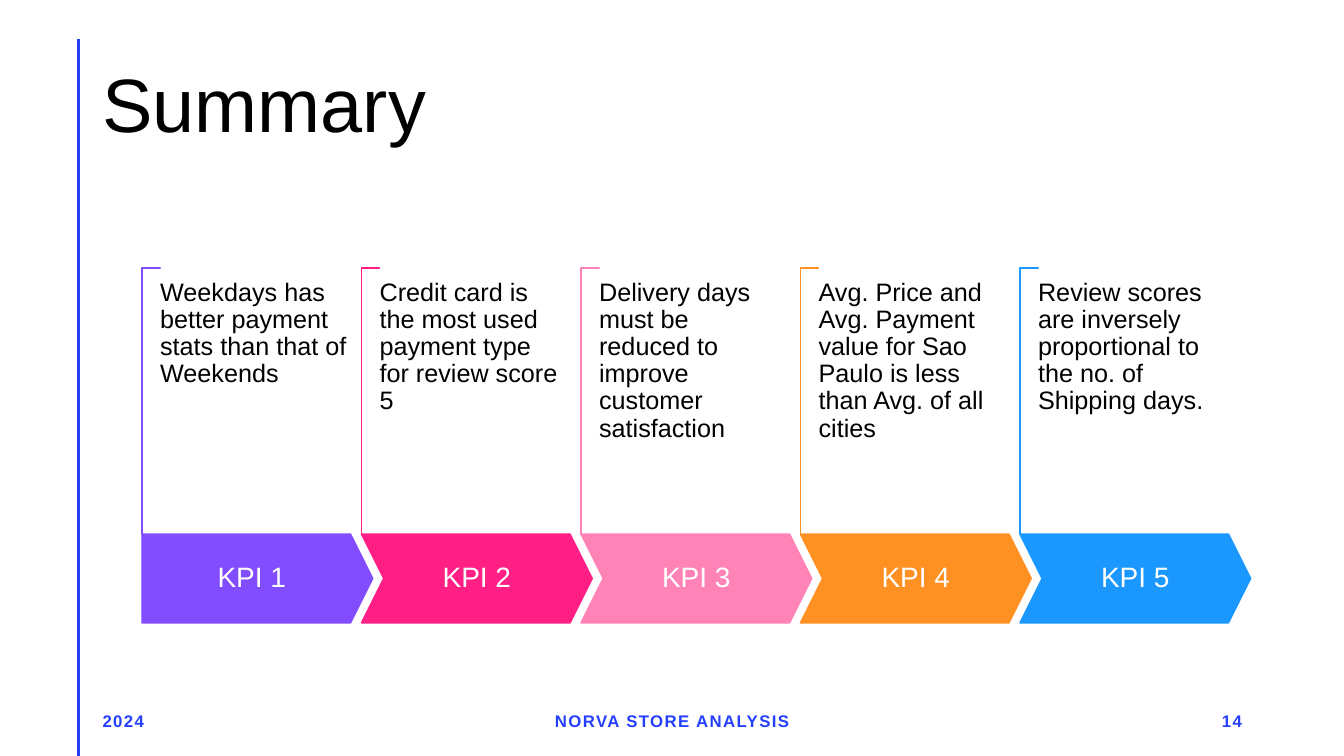
import pptx
import pptx.util
import pptx.dml.color
import pptx.enum.shapes
import pptx.enum.text
import pptx.oxml.ns
import lxml.etree

Pt = pptx.util.Pt
SHAPE = pptx.enum.shapes.MSO_SHAPE
ALIGN = pptx.enum.text.PP_ALIGN
ANCHOR = pptx.enum.text.MSO_ANCHOR
BLUE = "243FFF"

KPIS = [
    ("KPI 1", "814DFF", "Weekdays has better payment stats than that of Weekends"),
    ("KPI 2", "FF1F85", "Credit card is the most used payment type for review score 5"),
    ("KPI 3", "FF83B6", "Delivery days must be reduced to improve customer satisfaction"),
    ("KPI 4", "FF9022", "Avg. Price and Avg. Payment value for Sao Paulo is less than Avg. of all cities"),
    ("KPI 5", "1A98FF", "Review scores are inversely proportional to the no. of Shipping days."),
]


def rgb(value):
    return pptx.dml.color.RGBColor.from_string(value)


def write(shape, text, size, color, align=ALIGN.LEFT, anchor=ANCHOR.MIDDLE,
          inset=(0, 0), spacing=0.9):
    frame = shape.text_frame
    frame.text = text
    frame.word_wrap = True
    frame.vertical_anchor = anchor
    frame.margin_left = frame.margin_right = Pt(inset[0])
    frame.margin_top = frame.margin_bottom = Pt(inset[1])
    paragraph = frame.paragraphs[0]
    paragraph.alignment = align
    paragraph.line_spacing = spacing
    font = paragraph.runs[0].font
    font.name, font.size, font.color.rgb = "Arial", Pt(size), rgb(color)
    return font


def add_text(slide, left, top, width, height, *args, **options):
    box = slide.shapes.add_textbox(Pt(left), Pt(top), Pt(width), Pt(height))
    return write(box, *args, **options)


def add_outlined(slide, preset, left, top, width, height, fill, line):
    shape = slide.shapes.add_shape(preset, Pt(left), Pt(top), Pt(width), Pt(height))
    shape.shadow.inherit = False
    shape.fill.solid()
    shape.fill.fore_color.rgb = rgb(fill)
    shape.line.color.rgb = rgb(line)
    shape.line.width = Pt(1)
    return shape


def add_side_rule(slide, x, top, bottom):
    rule = slide.shapes.add_connector(
        pptx.enum.shapes.MSO_CONNECTOR.STRAIGHT, Pt(x), Pt(top), Pt(x), Pt(bottom))
    rule.line.color.rgb = rgb(BLUE)
    rule.line.width = Pt(2)
    lxml.etree.SubElement(rule._element.spPr, pptx.oxml.ns.qn("a:effectLst"))


def add_kpi(slide, left, top, width, height, first, label, color, finding):
    arrow_height, bracket_width = 63.4, 13
    bracket_height = height - arrow_height

    # Bracket: an L shape turned a quarter, so its box is laid out sideways
    bracket = add_outlined(
        slide, SHAPE.HALF_FRAME,
        left + (bracket_width - bracket_height) / 2,
        top + (bracket_height - bracket_width) / 2,
        bracket_height, bracket_width, "FFFFFF", color)
    bracket.rotation = 90
    bracket.adjustments[0] = bracket.adjustments[1] = 0.01
    # The "corner" preset has no MSO_SHAPE member; it takes the same two adjustments
    bracket._element.spPr.find(pptx.oxml.ns.qn("a:prstGeom")).set("prst", "corner")

    # Arrow with its label
    preset = SHAPE.PENTAGON if first else SHAPE.CHEVRON
    arrow = add_outlined(slide, preset, left, top + bracket_height,
                         width, arrow_height, color, color)
    arrow.adjustments[0] = 0.25
    write(arrow, label, 20, "FFFFFF", ALIGN.CENTER, inset=(10, 20))

    # Finding
    add_text(slide, left + bracket_width, top + 8, 134, 144, finding, 18, "000000",
             anchor=ANCHOR.TOP)


def add_kpi_row(slide, left, top, width, height):
    arrow_width = 164.9
    pitch = (width - arrow_width) / (len(KPIS) - 1)
    for index, kpi in enumerate(KPIS):
        add_kpi(slide, left + index * pitch, top, arrow_width, height, index == 0, *kpi)


def add_footer(slide, left, top, width, height):
    parts = [
        ("2024", ALIGN.LEFT, 216, 0),
        ("NORVA STORE ANALYSIS", ALIGN.CENTER, 324, 0.5),
        ("14", ALIGN.RIGHT, 216, 1),
    ]
    for text, align, part_width, position in parts:
        font = add_text(slide, left + (width - part_width) * position, top,
                        part_width, height, text, 12, BLUE, align,
                        inset=(7.2, 3.6), spacing=1)
        font.bold = True
        font._element.set("spc", "100")


def main():
    deck = pptx.Presentation()
    deck.slide_width, deck.slide_height = Pt(960), Pt(540)
    slide = deck.slides.add_slide(deck.slide_layouts[6])

    add_side_rule(slide, 56.2, 28, 540)
    add_text(slide, 66.2, 25.2, 828, 104.4, "Summary", 54, "000000", inset=(7.2, 3.6))
    add_kpi_row(slide, 101.4, 191.5, 792, 253.4)
    add_footer(slide, 66.2, 500.4, 828, 28.8)

    deck.save("out.pptx")


if __name__ == "__main__":
    main()
